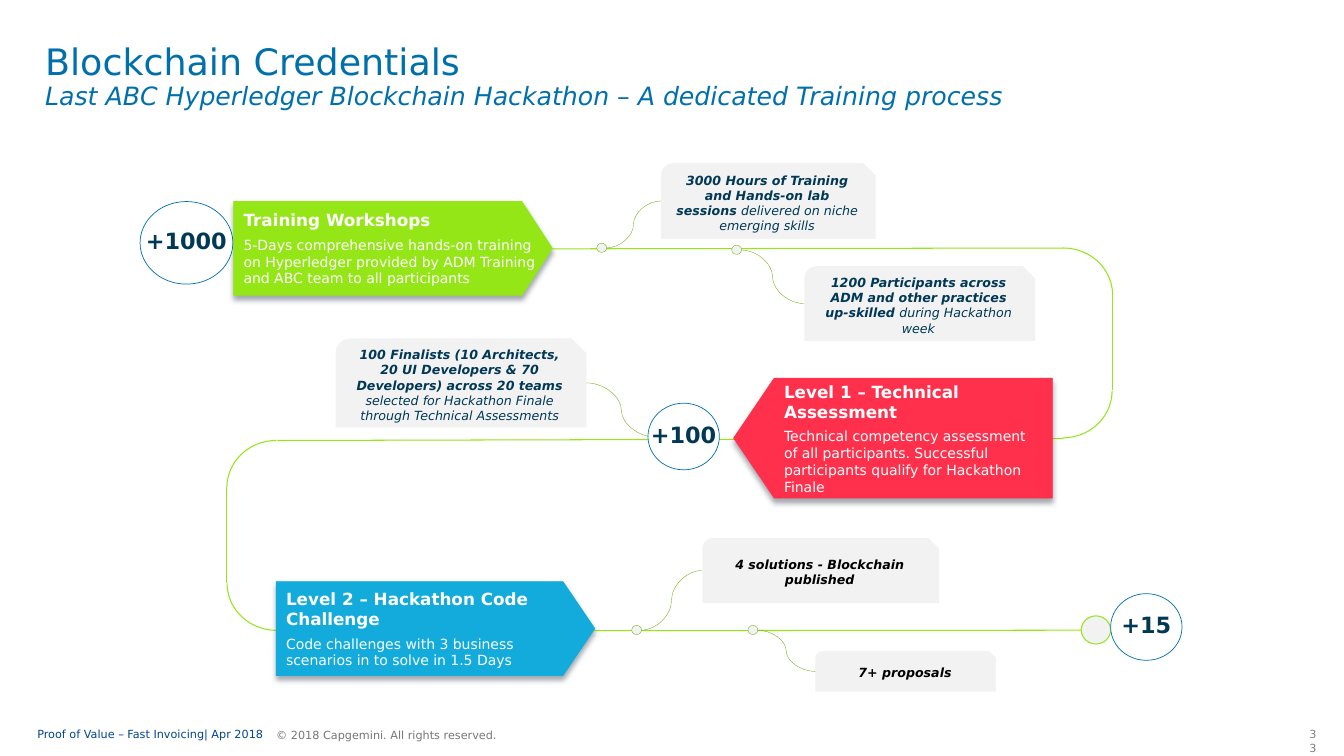
from lxml import etree
from pptx import Presentation
from pptx.dml.color import RGBColor
from pptx.enum.shapes import MSO_CONNECTOR, MSO_SHAPE
from pptx.enum.text import MSO_ANCHOR, PP_ALIGN
from pptx.oxml.ns import qn
from pptx.util import Cm, Pt

STRAIGHT, CURVE = MSO_CONNECTOR.STRAIGHT, MSO_CONNECTOR.CURVE
ELLIPSE, ARC = MSO_SHAPE.OVAL, MSO_SHAPE.ARC
PENTAGON, SNIP = MSO_SHAPE.PENTAGON, MSO_SHAPE.SNIP_ROUND_RECTANGLE
TOP, MIDDLE = MSO_ANCHOR.TOP, MSO_ANCHOR.MIDDLE
LEFT, CENTER, RIGHT = PP_ALIGN.LEFT, PP_ALIGN.CENTER, PP_ALIGN.RIGHT

GREEN, DARK_GREEN, RED, CYAN = "95E616", "70AC10", "FF304C", "12ABDB"
BLUE, NAVY, GREY, WHITE, BLACK = "0070AD", "003856", "F2F2F2", "FFFFFF", "000000"


def color(value):
    return RGBColor.from_string(value)


class SlideBuilder:
    font = "DejaVu Sans"

    def __init__(self, slide):
        self.shapes = slide.shapes

    def fill_text(self, s, paragraphs, anchor=MIDDLE, insets=(0.25, 0.13, 0.25, 0.13),
                  wrap=True, **para):
        """Each paragraph is a list of (text, font format) runs."""
        tf = s.text_frame
        names = ("margin_left", "margin_top", "margin_right", "margin_bottom")
        frame = dict(zip(names, map(Cm, insets)), word_wrap=wrap, vertical_anchor=anchor)
        for name, value in frame.items():
            setattr(tf, name, value)
        gap = para.pop("gap", 0)
        for i, runs in enumerate(paragraphs):
            p = tf.add_paragraph() if i else tf.paragraphs[0]
            if i:
                p.space_before = Pt(gap)
            for name, value in para.items():
                setattr(p, name, value)
            for text, fmt in runs:
                if text == "\n":
                    p.add_line_break()
                    continue
                r = p.add_run()
                r.text = text
                fmt = dict(fmt, name=self.font, size=Pt(fmt["size"]))
                r.font.color.rgb = color(fmt.pop("color"))
                for name, value in fmt.items():
                    setattr(r.font, name, value)

    def text(self, box, paragraphs, **layout):
        self.fill_text(self.shapes.add_textbox(*map(Cm, box)), paragraphs, **layout)

    def shape(self, kind, box, fill=None, line=None, weight=0.75, flip=False, rotation=0):
        s = self.shapes.add_shape(kind, *map(Cm, box))
        s.shadow.inherit = False
        s.rotation = rotation
        if flip:
            s._element.spPr.xfrm.set("flipH", "1")
        if fill:
            s.fill.solid()
            s.fill.fore_color.rgb = color(fill)
        else:
            s.fill.background()
        if line:
            s.line.color.rgb = color(line)
            s.line.width = Pt(weight)
        else:
            s.line.fill.background()
        return s

    def line(self, start, end, kind=STRAIGHT, stroke=GREEN, weight=0.75):
        s = self.shapes.add_connector(kind, *map(Cm, (*start, *end)))
        s.line.color.rgb = color(stroke)
        s.line.width = Pt(weight)
        etree.SubElement(s._element.spPr, qn("a:effectLst"))

    def stage(self, box, fill, heading, detail, adj, insets, flip=False):
        s = self.shape(PENTAGON, box, fill, fill, 0.5, flip)
        s.adjustments[0] = adj
        effects = s._element.spPr.find(qn("a:effectLst"))
        shadow = etree.SubElement(effects, qn("a:outerShdw"), blurRad=str(Pt(4)),
                                  dist=str(Pt(3)), dir="5400000", rotWithShape="0")
        rgb = etree.SubElement(shadow, qn("a:srgbClr"), val="68727C")
        etree.SubElement(rgb, qn("a:alpha"), val="60000")
        self.fill_text(s, [[(heading, dict(size=12, bold=True, color=WHITE))],
                           [(detail, dict(size=10, color=WHITE))]],
                       insets=insets, alignment=LEFT, gap=4.4)

    def callout(self, box, start, strong, light="", ink=NAVY, dot=True):
        x, y, w, h = box
        self.line(start, (x if start[0] < x else x + w, y + h / 2), CURVE, DARK_GREEN, 0.25)
        if dot:
            self.shape(ELLIPSE, (start[0] - 0.23, start[1] - 0.12, 0.25, 0.23),
                       GREY, DARK_GREEN, 0.25)
        fmt = dict(size=9, italic=True, color=ink)
        runs = [(strong, dict(fmt, bold=True))]
        if light:
            runs.append((light, fmt))
        self.fill_text(self.shape(SNIP, box, GREY), [runs], alignment=CENTER)

    def badge(self, box, label):
        s = self.shape(ELLIPSE, box, WHITE, BLUE, 0.5)
        self.fill_text(s, [[(label, dict(size=16, bold=True, color=NAVY))]],
                       wrap=False, alignment=CENTER, line_spacing=0.85)


def main():
    prs = Presentation()
    prs.slide_width, prs.slide_height = Cm(33.87), Cm(19.05)
    b = SlideBuilder(prs.slides.add_slide(prs.slide_layouts[6]))
    flush = (0, 0, 0, 0)

    # Title and footer
    b.text((1.14, 1.12, 30.6, 2.39),
           [[("Blockchain Credentials", dict(size=26, color=BLUE)), ("\n", {}),
             ("Last ABC Hyperledger Blockchain Hackathon – A dedicated Training process",
              dict(size=18, italic=True, color=BLUE))]],
           anchor=TOP, insets=flush, line_spacing=0.9)
    b.text((0.94, 18.24, 8.18, 0.58),
           [[("Proof of Value – Fast Invoicing| Apr 2018", dict(size=8, color="00458D"))]],
           insets=flush, line_spacing=0.85)
    b.text((6.96, 18.21, 9.78, 0.61),
           [[("© 2018 Capgemini. All rights reserved.", dict(size=8, color="767676"))]],
           insets=flush)
    b.text((32.74, 18.21, 0.69, 0.61), [[("33", dict(size=8, color="808080"))]],
           anchor=TOP, alignment=RIGHT)

    # Winding track
    for start, end in [((13.92, 6.27), (26.8, 6.25)), ((28.04, 7.44), (28.04, 9.83)),
                       ((6.99, 11.1), (26.8, 11.05)), ((5.72, 12.27), (5.72, 14.68)),
                       ((6.99, 15.9), (27.25, 15.88))]:
        b.line(start, end)
    for box, rotation, flip in [((25.55, 6.25, 2.49, 2.36), 0, False),
                                ((25.6, 8.61, 2.36, 2.49), 90, False),
                                ((5.72, 11.1, 2.49, 2.36), 0, True),
                                ((5.79, 13.46, 2.36, 2.49), 270, True)]:
        b.shape(ARC, box, line=GREEN, flip=flip, rotation=rotation)
    b.shape(ELLIPSE, (27.25, 15.52, 0.74, 0.71), GREY, GREEN)

    # Stages
    b.stage((5.89, 5.08, 8.03, 2.36), GREEN, "Training Workshops",
            "5-Days comprehensive hands-on training on Hyperledger provided by "
            "ADM Training and ABC team to all participants", 0.325, (0.25, 0, 0, 0))
    b.stage((18.49, 9.53, 8.03, 3.02), RED, "Level 1 – Technical Assessment",
            "Technical competency assessment of all participants. Successful "
            "participants qualify for Hackathon Finale", 0.339, (0.76, 0, 0.25, 0), flip=True)
    b.stage((6.96, 14.66, 8.03, 2.36), CYAN, "Level 2 – Hackathon Code Challenge",
            "Code challenges with 3 business scenarios in to solve in 1.5 Days",
            0.339, (0.25, 0, 0.25, 0))

    # Callouts
    b.callout((16.66, 4.11, 5.41, 1.91), (15.27, 6.25),
              "3000 Hours of Training and Hands-on lab sessions ",
              "delivered on niche emerging skills")
    b.callout((20.27, 6.71, 5.82, 1.88), (18.67, 6.3),
              "1200 Participants across ADM and other practices up-skilled ",
              "during Hackathon week")
    b.callout((8.46, 8.53, 6.32, 2.24), (16.54, 11.02),
              "100 Finalists (10 Architects, 20 UI Developers & 70 Developers) across 20 teams ",
              "selected for Hackathon Finale through Technical Assessments", dot=False)
    b.callout((17.7, 13.56, 5.97, 1.63), (16.15, 15.88),
              "4 solutions - Blockchain published", ink=BLACK)
    b.callout((20.55, 16.41, 4.55, 1.02), (19.08, 15.88), "7+ proposals", ink=BLACK)

    # Head counts
    b.badge((3.53, 5.08, 2.34, 2.08), "+1000")
    b.badge((16.33, 10.16, 1.8, 1.68), "+100")
    b.badge((27.99, 14.96, 1.8, 1.68), "+15")

    prs.save("out.pptx")


if __name__ == "__main__":
    main()
